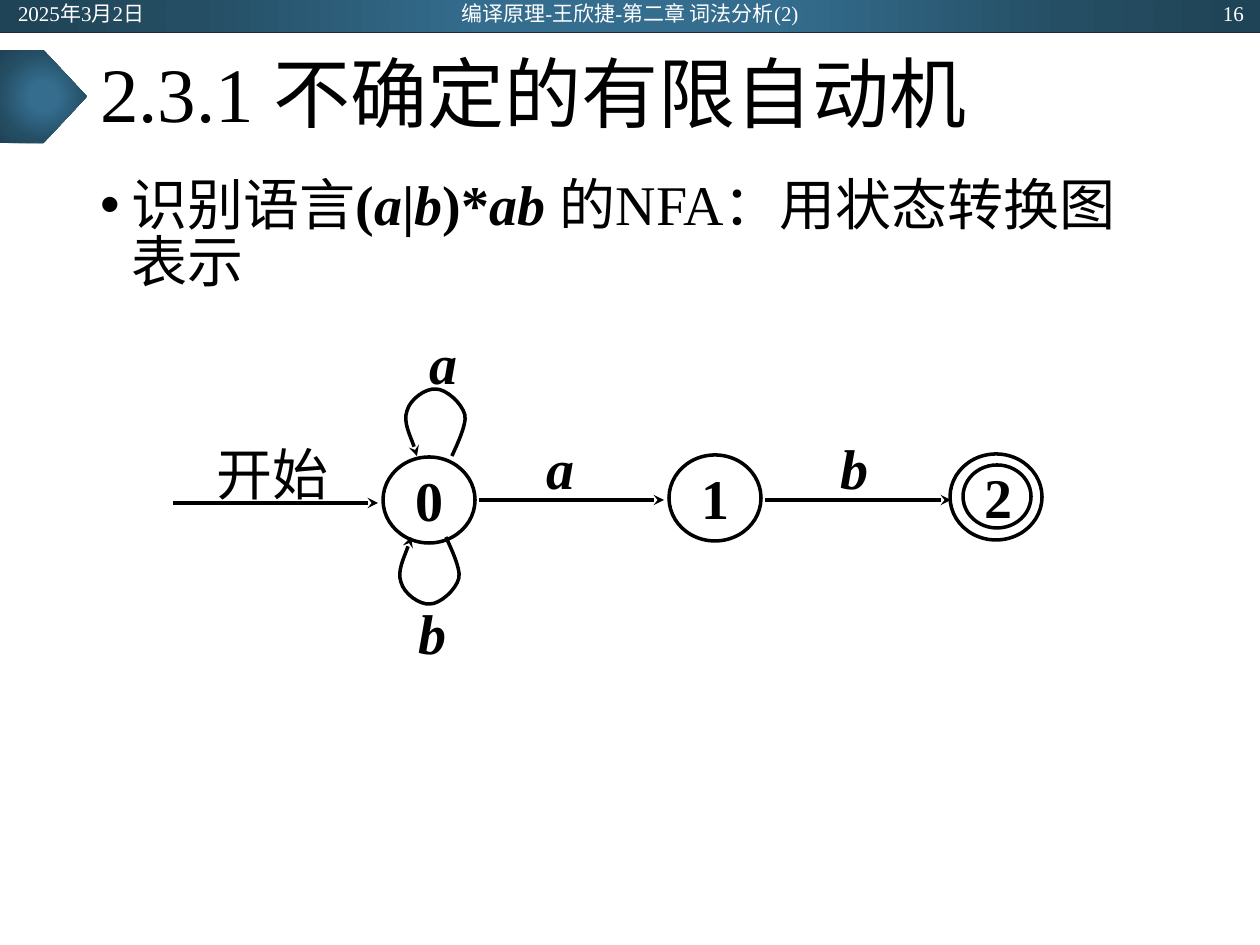
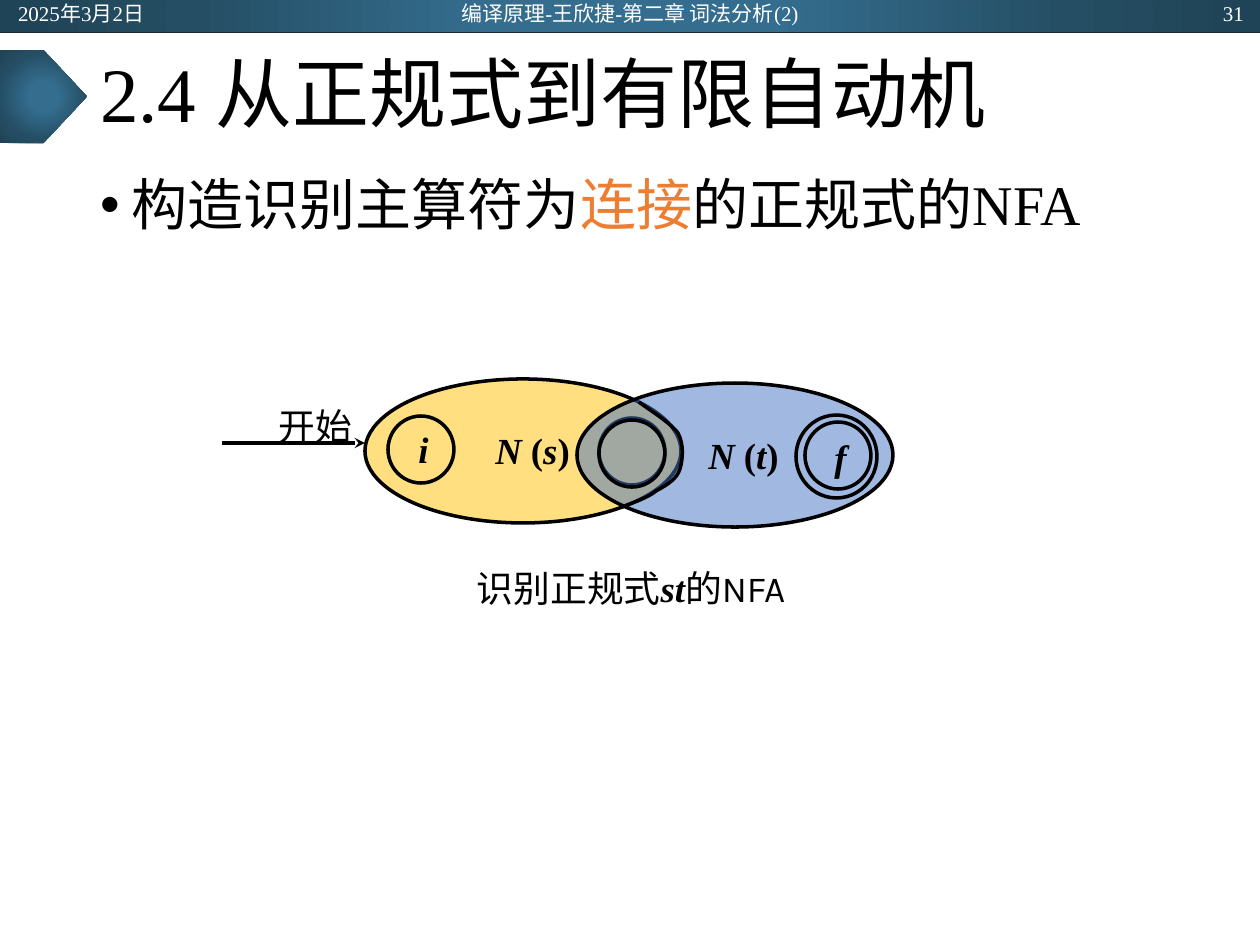
from lxml.etree import SubElement
from pptx import Presentation
from pptx.dml.color import RGBColor
from pptx.enum.shapes import MSO_CONNECTOR as Connector, MSO_SHAPE as Preset
from pptx.enum.text import MSO_ANCHOR as Anchor, MSO_AUTO_SIZE as AutoSize, PP_ALIGN as Align
from pptx.oxml import parse_xml
from pptx.oxml.ns import nsdecls, qn
from pptx.util import Emu, Inches, Pt

SCALE = 914400 / 126
BLACK = RGBColor(0x00, 0x00, 0x00)
WHITE = RGBColor(0xFF, 0xFF, 0xFF)
ORANGE = RGBColor(0xED, 0x7D, 0x31)
GOLD = RGBColor(0xFF, 0xC0, 0x00)
BLUE = RGBColor(0x44, 0x72, 0xC4)
BAND_EDGE = RGBColor(0x22, 0x2A, 0x35)
BAND_STOPS = {
    0: RGBColor(0x34, 0x6D, 0x8E),
    23: RGBColor(0x34, 0x6D, 0x8E),
    69: RGBColor(0x25, 0x4E, 0x64),
    97: RGBColor(0x20, 0x44, 0x57),
}
SERIF = "Times New Roman"
CJK = "Noto Sans CJK SC"
SANS = "Karla"
BOLD = {"bold": True}
SYMBOL = {"bold": True, "italic": True}
PLAIN_INSETS = (13, 6, 13, 6)
LABEL_INSETS = (5, 3, 5, 3)
NAME_INSETS = (8, 3, 9, 5)
STATE = (92, 86)
SMALL_STATE = (66, 67)
REGION = (316, 144)
LOOP = [(0, 0), (3, -7), (15, -31), (13, -41), (10, -53), (-6, -67), (-16, -67),
        (-26, -68), (-42, -57), (-45, -45), (-49, -34), (-37, -10), (-35, 0)]
REGION_EDGE = [(639, 402), (645, 407), (670, 422), (678, 433), (684, 444), (683, 459),
               (680, 469), (677, 479), (667, 485), (656, 491), (648, 498), (629, 504),
               (622, 507)]


def px(*lengths):
    return [Emu(round(length * SCALE)) for length in lengths]


def set_all(target, values):
    for name, value in values.items():
        setattr(target, name, value)


def write(box, spans, size, color=BLACK, align=Align.CENTER, anchor=Anchor.MIDDLE,
          insets=LABEL_INSETS):
    frame = box.text_frame
    margins = ("margin_left", "margin_top", "margin_right", "margin_bottom")
    set_all(frame, dict(zip(margins, px(*insets))))
    set_all(frame, {"word_wrap": True, "auto_size": AutoSize.NONE, "vertical_anchor": anchor})
    para = frame.paragraphs[0]
    set_all(para, {"alignment": align, "space_before": Pt(0)})
    for text, style in spans:
        span = para.add_run()
        span.text = text
        style = {"color": color, "name": SERIF, "size": Pt(size)} | style
        span.font.color.rgb = style.pop("color")
        set_all(span.font, style)
        SubElement(span.font._element, qn("a:ea")).set("typeface", CJK)
    return para


def add_text(page, bounds, spans, size, **layout):
    box = page.shapes.add_textbox(*px(*bounds))
    write(box, spans, size, **layout)


def outline(shape, color=BLACK, width=2, arrow=False):
    shape.line.color.rgb = color
    shape.line.width = Pt(width)
    if arrow:
        SubElement(shape.line._get_or_add_ln(), qn("a:tailEnd")).set("type", "stealth")


def add_line(page, start, end, arrow=True, **stroke):
    line = page.shapes.add_connector(Connector.STRAIGHT, *px(*start, *end))
    outline(line, arrow=arrow, **stroke)
    SubElement(line._element.spPr, qn("a:effectLst"))


def add_curve(page, points, arrow=False):
    builder = page.shapes.build_freeform(*points[0], scale=SCALE)
    builder.add_line_segments(points[1:], close=False)
    curve = builder.convert_to_shape()
    segments = list(curve._element.iter(qn("a:lnTo")))
    for first, second, third in zip(*[iter(segments)] * 3):
        first.tag = qn("a:cubicBezTo")
        for extra in (second, third):
            first.append(extra[0])
            extra.getparent().remove(extra)
    curve.fill.background()
    outline(curve, arrow=arrow)
    curve.shadow.inherit = False


def add_ellipse(page, corner, size, fill=None, label=None, label_size=32, style=BOLD,
                insets=(5, 3, 3, 5)):
    ellipse = page.shapes.add_shape(Preset.OVAL, *px(*corner, *size))
    ellipse.shadow.inherit = False
    outline(ellipse)
    if fill is None:
        ellipse.fill.background()
    else:
        ellipse.fill.solid()
        ellipse.fill.fore_color.rgb = fill
        tint = ellipse._element.spPr.find(qn("a:solidFill"))[0]
        SubElement(tint, qn("a:alpha")).set("val", "50000")
    if label:
        write(ellipse, [(label, style)], label_size, insets=insets)


def add_band(page, preset, bounds):
    band = page.shapes.add_shape(preset, *px(*bounds))
    band.shadow.inherit = False
    band.line.fill.background()
    band.fill.background()
    stops = "".join(
        f'<a:gs pos="{position * 1000}"><a:srgbClr val="{color}"/></a:gs>'
        for position, color in BAND_STOPS.items()
    )
    gradient = parse_xml(
        f'<a:gradFill {nsdecls("a")} rotWithShape="1"><a:gsLst>{stops}</a:gsLst>'
        '<a:path path="circle"><a:fillToRect l="50000" t="50000" r="50000" b="50000"/>'
        '</a:path></a:gradFill>'
    )
    properties = band._element.spPr
    properties.replace(properties.find(qn("a:noFill")), gradient)


def place(holder, bounds):
    set_all(holder, dict(zip(("left", "top", "width", "height"), px(*bounds))))


def add_page(deck, title, bullet, number):
    page = deck.slides.add_slide(deck.slide_layouts[1])
    add_band(page, Preset.RECTANGLE, (0, 0, 1260, 32))
    add_line(page, (0, 32), (1260, 32), arrow=False, color=BAND_EDGE, width=0.5)
    add_band(page, Preset.PENTAGON, (0, 50, 87, 93))

    heading, body = page.placeholders
    place(heading, (87, 32, 1086, 131))
    para = write(heading, [(title, {})], 44, align=Align.LEFT, insets=PLAIN_INSETS)
    para.line_spacing = 0.9

    place(body, (87, 174, 1086, 678))
    para = write(body, bullet, 32, align=Align.LEFT, anchor=Anchor.TOP, insets=PLAIN_INSETS)
    para.line_spacing = 0.85
    properties = para._p.get_or_add_pPr()
    properties.set("marL", str(Inches(0.25)))
    properties.set("indent", str(-Inches(0.25)))
    SubElement(properties, qn("a:buFont")).set("typeface", "Arial")
    SubElement(properties, qn("a:buChar")).set("char", "•")

    header = [
        ((5, 1, 284, 25), "2025年3月2日", Align.LEFT),
        ((417, 1, 426, 25), "编译原理-王欣捷-第二章 词法分析(2)", Align.CENTER),
        ((973, 1, 284, 25), number, Align.RIGHT),
    ]
    for bounds, text, align in header:
        add_text(page, bounds, [(text, {})], 12, color=WHITE, align=align,
                 insets=PLAIN_INSETS)
    return page


def draw_state_diagram(page):
    add_ellipse(page, (669, 455), STATE, label="1")
    add_ellipse(page, (950, 454), STATE)
    add_ellipse(page, (963, 465), (68, 63), label="2", insets=(5, 0, 1, 0))
    add_ellipse(page, (383, 457), STATE, label="0")
    for left, right, level in [(173, 378, 503), (479, 664, 500), (765, 951, 500)]:
        add_line(page, (left, level), (right, level))
    add_curve(page, [(452 + x, 456 + y) for x, y in LOOP], arrow=True)
    add_curve(page, [(446 + x, 537 - y) for x, y in LOOP], arrow=True)
    add_text(page, (198, 433, 150, 81), [("开始", {})], 32)
    for letter, left, top in [("a", 524, 433), ("b", 818, 433), ("a", 407, 328),
                              ("b", 396, 598)]:
        add_text(page, (left, top, 74, 69), [(letter, SYMBOL)], 32)


def add_region_name(page, corner, expression):
    spans = [("N ", SYMBOL), ("(", BOLD), (expression, SYMBOL), (")", BOLD)]
    add_text(page, (*corner, 110, 81), spans, 21, insets=NAME_INSETS)


def draw_concatenation(page):
    caption = [("识别正规式", {}), ("st", SYMBOL), ("的", {"name": CJK}),
               ("NFA", {"name": SANS})]
    add_text(page, (389, 559, 484, 57), caption, 21)
    add_ellipse(page, (365, 379), REGION, fill=GOLD)
    add_ellipse(page, (388, 416), SMALL_STATE, label="i", label_size=21, style=SYMBOL,
                insets=(8, 3, 3, 5))
    add_ellipse(page, (599, 418), SMALL_STATE)
    add_region_name(page, (478, 410), "s")
    add_ellipse(page, (577, 383), REGION, fill=BLUE)
    add_ellipse(page, (796, 415), (81, 83))
    add_ellipse(page, (805, 422), SMALL_STATE, label="f", label_size=21, style=SYMBOL,
                insets=(8, 3, 3, 1))
    add_text(page, (262, 394, 106, 63), [("开始", {})], 21)
    add_ellipse(page, (599, 420), SMALL_STATE)
    add_region_name(page, (689, 415), "t")
    add_curve(page, REGION_EDGE)
    add_line(page, (222, 443), (365, 443))


def main():
    deck = Presentation()
    deck.slide_width, deck.slide_height = px(1260, 945)

    language = [("识别语言", {}), ("(", BOLD), ("a", SYMBOL), ("|", BOLD), ("b", SYMBOL),
                (")*", BOLD), ("ab ", SYMBOL), ("的NFA：用状态转换图表示", {})]
    draw_state_diagram(add_page(deck, "2.3.1 不确定的有限自动机", language, "16"))

    construction = [("构造识别主算符为", {"name": CJK}),
                    ("连接", {"name": CJK, "color": ORANGE}),
                    ("的正规式的", {"name": CJK}), ("NFA", {})]
    draw_concatenation(add_page(deck, "2.4 从正规式到有限自动机", construction, "31"))

    deck.save("out.pptx")


if __name__ == "__main__":
    main()
